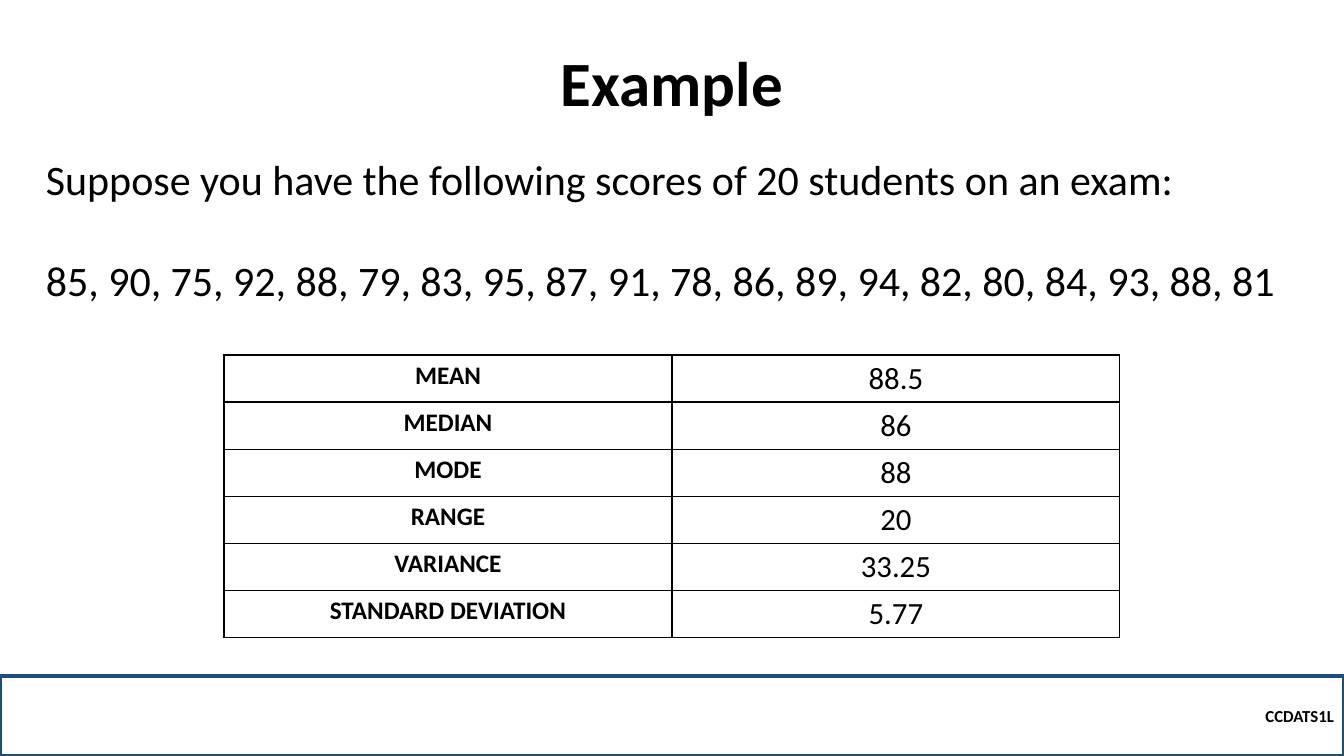
from lxml.etree import SubElement
from pptx import Presentation
from pptx.dml.color import RGBColor
from pptx.enum.shapes import MSO_SHAPE as Shape
from pptx.enum.text import MSO_ANCHOR as Anchor, PP_ALIGN as Align
from pptx.oxml.ns import qn
from pptx.util import Emu, Pt

PX = 914400 / 100.8
COLORS = {"ink": "000000", "frame": "1F4E79"}
STATISTICS = [
    ("MEAN", "88.5"),
    ("MEDIAN", "86"),
    ("MODE", "88"),
    ("RANGE", "20"),
    ("VARIANCE", "33.25"),
    ("STANDARD DEVIATION", "5.77"),
]


def px(*lengths):
    """Turn pixel lengths into EMU."""
    return [Emu(round(length * PX)) for length in lengths]


def write(frame, lines, size, bold=False, align=Align.LEFT, gap=0):
    """Fill a text frame with evenly styled paragraphs."""
    frame.word_wrap = True
    frame.text = "\n".join(lines)
    for index, para in enumerate(frame.paragraphs):
        para.alignment = align
        if index:
            para.space_before = Pt(gap)
        for span in para.runs:
            span.font.name = "Calibri"
            span.font.size = Pt(size)
            span.font.bold = bold
            span.font.color.rgb = RGBColor.from_string(COLORS["ink"])


def add_text(page, bounds, lines, size, **style):
    """Add a text box and return its frame."""
    frame = page.shapes.add_textbox(*px(*bounds)).text_frame
    write(frame, lines, size, **style)
    return frame


def add_footer(page, bounds, label):
    """Add the outlined footer band with its course code."""
    band = page.shapes.add_shape(Shape.RECTANGLE, *px(*bounds))
    band.shadow.inherit = False
    band.fill.background()
    band.line.color.rgb = RGBColor.from_string(COLORS["frame"])
    band.line.width = Pt(2.25)
    band.text_frame.vertical_anchor = Anchor.MIDDLE
    write(band.text_frame, [label], 12, bold=True, align=Align.RIGHT)


def add_borders(cell):
    """Draw a thin line on each side of a table cell."""
    properties = cell._tc.get_or_add_tcPr()
    for position, side in enumerate(("lnL", "lnR", "lnT", "lnB")):
        line = SubElement(properties, qn(f"a:{side}"), w=str(Pt(1)))
        fill = SubElement(line, qn("a:solidFill"))
        SubElement(fill, qn("a:srgbClr"), val=COLORS["ink"])
        properties.insert(position, line)


def add_statistics(page, bounds, rows):
    """Add the table of measures and their values."""
    table = page.shapes.add_table(len(rows), 2, *px(*bounds)).table
    table.first_row = False
    table.horz_banding = False
    for row, texts in enumerate(rows):
        for column, text in enumerate(texts):
            cell = table.cell(row, column)
            is_label = column == 0
            write(cell.text_frame, [text], 18 if is_label else 22,
                  bold=is_label, align=Align.CENTER)
            cell.fill.background()
            add_borders(cell)


def main():
    """Build and save the slide."""
    deck = Presentation()
    deck.slide_width, deck.slide_height = px(1344, 756)
    page = deck.slides.add_slide(deck.slide_layouts[6])
    title = add_text(page, (124, 45, 1096, 80), ["Example"], 45,
                     bold=True, align=Align.CENTER)
    title.vertical_anchor = Anchor.BOTTOM
    title.paragraphs[0].line_spacing = 0.9
    add_footer(page, (0, 676, 1344, 80), "CCDATS1L")
    add_text(page, (36, 149, 1272, 163), [
        "Suppose you have the following scores of 20 students on an exam:",
        "85, 90, 75, 92, 88, 79, 83, 95, 87, 91, 78, 86, 89, 94, 82, 80, 84, 93, 88, 81",
    ], 30, gap=36)
    add_statistics(page, (224, 355, 896, 282), STATISTICS)
    deck.save("out.pptx")


if __name__ == "__main__":
    main()
